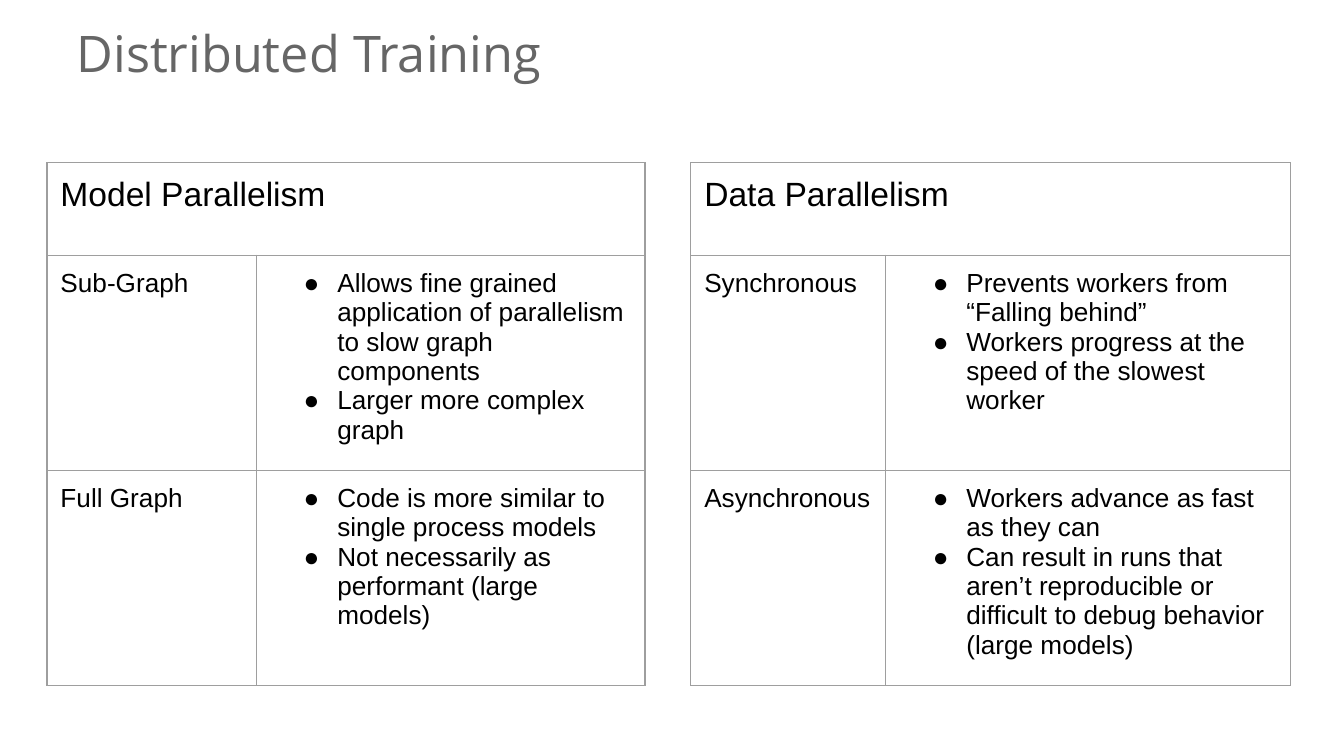
"""Build the Distributed Training slide with its two comparison tables."""
from dataclasses import dataclass

from lxml import etree
from pptx import Presentation
from pptx.dml.color import RGBColor
from pptx.enum.text import MSO_ANCHOR, PP_ALIGN
from pptx.oxml.ns import qn
from pptx.util import Inches, Pt

LEFT = PP_ALIGN.LEFT
MIDDLE = MSO_ANCHOR.MIDDLE
TITLE_ONLY = 5


@dataclass(frozen=True)
class Theme:
    title_font: str = "Open Sans"
    body_font: str = "Arial"
    title_color: str = "666666"
    text_color: str = "000000"
    border_color: str = "9E9E9E"
    title_size: int = 27
    heading_size: int = 18
    body_size: int = 14
    border_width: float = 0.75


THEME = Theme()
SLIDE_WIDTH = 10
SLIDE_HEIGHT = SLIDE_WIDTH * 9 / 16
TITLE = "Distributed Training"
TITLE_BOX = {"left": 0, "top": 0.07, "width": 9.89, "height": 0.64}
TITLE_INSETS = {"margin_left": 0.07, "margin_right": 0.07, "margin_top": 0.04, "margin_bottom": 0.04}
TABLE_TOP = 1.21
ROW_HEIGHTS = (0.69, 1.6, 1.6)
CELL_INSET = 0.1
INDENT = 0.5
HANGING = -0.25
TABLES = [
    {
        "heading": "Model Parallelism",
        "left": 0.35,
        "columns": (1.56, 2.89),
        "rows": [
            ("Sub-Graph", [
                "Allows fine grained application of parallelism to slow graph components",
                "Larger more complex graph",
            ]),
            ("Full Graph", [
                "Code is more similar to single process models",
                "Not necessarily as performant (large models)",
            ]),
        ],
    },
    {
        "heading": "Data Parallelism",
        "left": 5.14,
        "columns": (1.45, 3.01),
        "rows": [
            ("Synchronous", [
                "Prevents workers from “Falling behind”",
                "Workers progress at the speed of the slowest worker",
            ]),
            ("Asynchronous", [
                "Workers advance as fast as they can",
                "Can result in runs that aren’t reproducible or difficult to debug behavior (large models)",
            ]),
        ],
    },
]


def set_lengths(target, lengths):
    for name, value in lengths.items():
        setattr(target, name, Inches(value))


def indent(paragraph, hanging=0, bullet=None):
    properties = paragraph._p.get_or_add_pPr()
    properties.set("marL", str(Inches(INDENT)))
    properties.set("indent", str(Inches(hanging)))
    if bullet:
        etree.SubElement(properties, qn("a:buSzPct"), val="100000")
        etree.SubElement(properties, qn("a:buFont"), typeface=THEME.body_font)
        etree.SubElement(properties, qn("a:buChar"), char=bullet)


def add_text(paragraph, text, size, font_name=THEME.body_font, color=THEME.text_color):
    paragraph.alignment = LEFT
    run = paragraph.add_run()
    run.text = text
    for name, value in {"name": font_name, "size": Pt(size), "bold": False}.items():
        setattr(run.font, name, value)
    run.font.color.rgb = RGBColor.from_string(color)


def format_cell(cell):
    properties = cell._tc.get_or_add_tcPr()
    for side in ("L", "R", "T", "B"):
        line = etree.SubElement(properties, qn(f"a:ln{side}"), w=str(Pt(THEME.border_width)))
        fill = etree.SubElement(line, qn("a:solidFill"))
        etree.SubElement(fill, qn("a:srgbClr"), val=THEME.border_color)
    cell.fill.background()
    set_lengths(cell, {f"margin_{side}": CELL_INSET for side in ("left", "right", "top", "bottom")})


def add_title(slide):
    title = slide.shapes.title
    set_lengths(title, TITLE_BOX)
    frame = title.text_frame
    set_lengths(frame, TITLE_INSETS)
    frame.vertical_anchor = MIDDLE
    frame.word_wrap = True
    paragraph = frame.paragraphs[0]
    indent(paragraph)
    add_text(paragraph, TITLE, THEME.title_size, THEME.title_font, THEME.title_color)


def add_comparison(slide, content):
    columns = content["columns"]
    frame = slide.shapes.add_table(
        len(ROW_HEIGHTS), len(columns), Inches(content["left"]), Inches(TABLE_TOP),
        Inches(sum(columns)), Inches(sum(ROW_HEIGHTS)))
    table = frame.table
    table.first_row = table.horz_banding = False
    for column, width in zip(table.columns, columns):
        column.width = Inches(width)
    for row, height in zip(table.rows, ROW_HEIGHTS):
        row.height = Inches(height)
    for cell in table.iter_cells():
        format_cell(cell)

    heading = table.cell(0, 0)
    heading.merge(table.cell(0, len(columns) - 1))
    add_text(heading.text_frame.paragraphs[0], content["heading"], THEME.heading_size)
    for row_index, (label, points) in enumerate(content["rows"], start=1):
        add_text(table.cell(row_index, 0).text_frame.paragraphs[0], label, THEME.body_size)
        text_frame = table.cell(row_index, 1).text_frame
        for point_index, point in enumerate(points):
            paragraph = text_frame.add_paragraph() if point_index else text_frame.paragraphs[0]
            indent(paragraph, HANGING, "●")
            add_text(paragraph, point, THEME.body_size)


def main():
    presentation = Presentation()
    presentation.slide_width = Inches(SLIDE_WIDTH)
    presentation.slide_height = Inches(SLIDE_HEIGHT)
    slide = presentation.slides.add_slide(presentation.slide_layouts[TITLE_ONLY])
    add_title(slide)
    for content in TABLES:
        add_comparison(slide, content)
    presentation.save("out.pptx")


if __name__ == "__main__":
    main()
